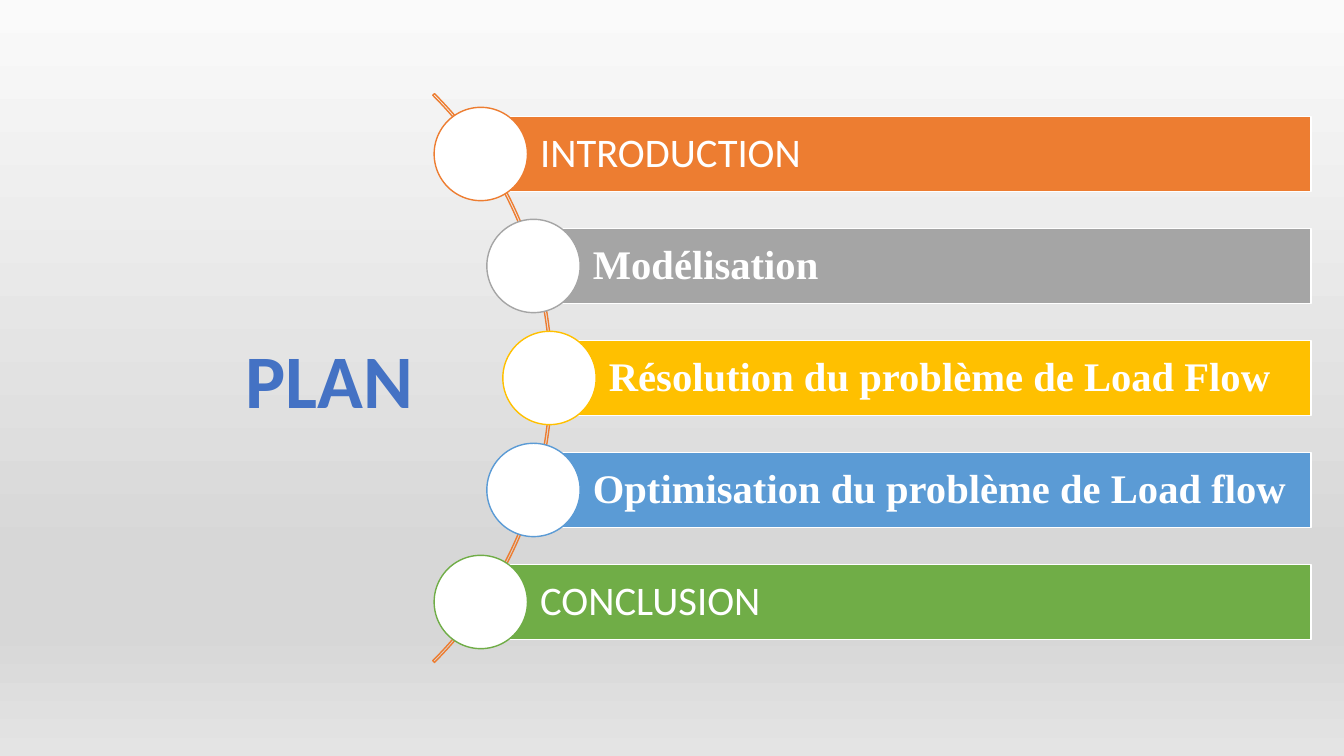
from copy import deepcopy
from math import sqrt

from pptx import Presentation
from pptx.dml.color import RGBColor
from pptx.enum.shapes import MSO_SHAPE as Preset
from pptx.enum.text import MSO_ANCHOR as Anchor, MSO_AUTO_SIZE as AutoSize, PP_ALIGN as Align
from pptx.oxml.ns import qn
from pptx.util import Inches, Pt

SLIDE_WIDTH = Inches(13.333)
SLIDE_HEIGHT = Inches(7.5)
COLUMNS, ROWS = 36, 20.25
MIDDLE_ROW = ROWS / 2

WHITE = RGBColor(0xFF, 0xFF, 0xFF)
BLUE = RGBColor(0x44, 0x72, 0xC4)
ORANGE = RGBColor(0xED, 0x7D, 0x31)
GRAY = RGBColor(0xA5, 0xA5, 0xA5)
GOLD = RGBColor(0xFF, 0xC0, 0x00)
LIGHT_BLUE = RGBColor(0x5B, 0x9B, 0xD5)
GREEN = RGBColor(0x70, 0xAD, 0x47)
BACKGROUND_STOPS = [(0, "FAFAFA"), (74, "D7D7D7"), (83, "D7D7D7"), (100, "E4E4E4")]

SANS, SERIF = "Calibri", "Times New Roman"
CHAPTERS = [
    ("INTRODUCTION", ORANGE, SANS),
    ("Modélisation", GRAY, SERIF),
    ("Résolution du problème de Load Flow", GOLD, SERIF),
    ("Optimisation du problème de Load flow", LIGHT_BLUE, SERIF),
    ("CONCLUSION", GREEN, SANS),
]

ARC_CENTER = 4.02
ARC_SIZE = 21.55
BAR_ARC_RADIUS = 10.7
BAR_PITCH = 3
BAR_HEIGHT = 2
BAR_RIGHT = 35.12
CIRCLE_SIZE = 2.5


def across(columns):
    return round(SLIDE_WIDTH * columns / COLUMNS)


def down(rows):
    return round(SLIDE_HEIGHT * rows / ROWS)


def write_text(shape, text, font, size, color, bold=False, align=Align.LEFT, spacing=1.0):
    paragraph = shape.text_frame.paragraphs[0]
    paragraph.alignment = align
    paragraph.line_spacing = spacing
    run = paragraph.add_run()
    run.text = text
    run.font.name = font
    run.font.size = Pt(size)
    run.font.bold = bold
    run.font.color.rgb = color


def add_preset(slide, preset, left, top, width, height, fill, line):
    shape = slide.shapes.add_shape(preset, across(left), down(top), across(width), down(height))
    shape.shadow.inherit = False
    if fill is None:
        shape.fill.background()
    else:
        shape.fill.solid()
        shape.fill.fore_color.rgb = fill
    shape.line.color.rgb = line
    shape.line.width = Pt(1)
    return shape


def paint_background(slide):
    fill = slide.background.fill
    fill.gradient()
    fill.gradient_angle = 270
    stop_list = next(slide.element.iter(qn("a:gsLst")))
    for stop in list(stop_list)[1:]:
        stop_list.remove(stop)
    for _ in BACKGROUND_STOPS[1:]:
        stop_list.append(deepcopy(stop_list[0]))
    for stop, (position, color) in zip(fill.gradient_stops, BACKGROUND_STOPS):
        stop.position = position / 100
        stop.color.rgb = RGBColor.from_string(color)


def format_title(slide, text):
    title = slide.shapes.title
    title.left, title.top = across(6.3), down(8.78)
    title.width, title.height = across(5.04), down(2.73)
    frame = title.text_frame
    frame.word_wrap = False
    frame.auto_size = AutoSize.SHAPE_TO_FIT_TEXT
    frame.vertical_anchor = Anchor.TOP
    write_text(title, text, SANS, 54, BLUE, bold=True, align=Align.CENTER)


def add_arc(slide):
    arc = add_preset(slide, Preset.BLOCK_ARC, ARC_CENTER - ARC_SIZE / 2,
                     MIDDLE_ROW - ARC_SIZE / 2, ARC_SIZE, ARC_SIZE, None, ORANGE)
    for index, value in enumerate((189, 27, 0.003)):
        arc.adjustments[index] = value


def add_chapter(slide, offset, text, color, font):
    center = MIDDLE_ROW + offset
    left = ARC_CENTER + sqrt(BAR_ARC_RADIUS ** 2 - offset ** 2)
    bar = add_preset(slide, Preset.RECTANGLE, left, center - BAR_HEIGHT / 2,
                     BAR_RIGHT - left, BAR_HEIGHT, color, WHITE)
    frame = bar.text_frame
    frame.word_wrap = True
    frame.vertical_anchor = Anchor.MIDDLE
    frame.margin_left = across(1.59)
    frame.margin_right = across(0.2)
    frame.margin_top = frame.margin_bottom = down(0.2)
    write_text(bar, text, font, 29, WHITE, bold=font == SERIF, spacing=0.9)
    add_preset(slide, Preset.OVAL, left - CIRCLE_SIZE / 2, center - CIRCLE_SIZE / 2,
               CIRCLE_SIZE, CIRCLE_SIZE, WHITE, color)


def main():
    presentation = Presentation()
    presentation.slide_width = SLIDE_WIDTH
    presentation.slide_height = SLIDE_HEIGHT
    slide = presentation.slides.add_slide(presentation.slide_layouts.get_by_name("Title Only"))
    paint_background(slide)
    format_title(slide, "PLAN")
    add_arc(slide)
    for index, (text, color, font) in enumerate(CHAPTERS):
        offset = BAR_PITCH * (index - len(CHAPTERS) // 2)
        add_chapter(slide, offset, text, color, font)
    presentation.save("out.pptx")


main()
